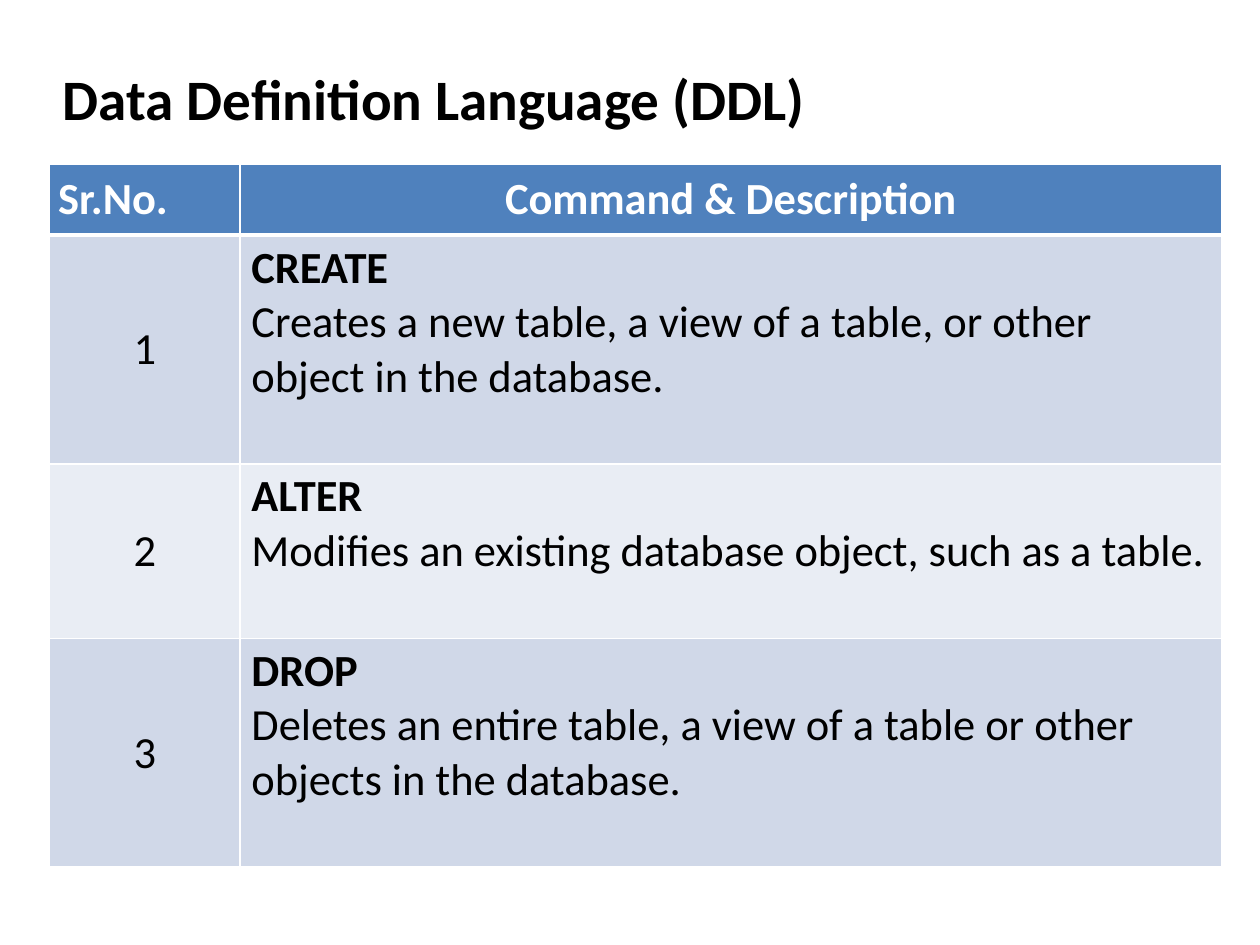
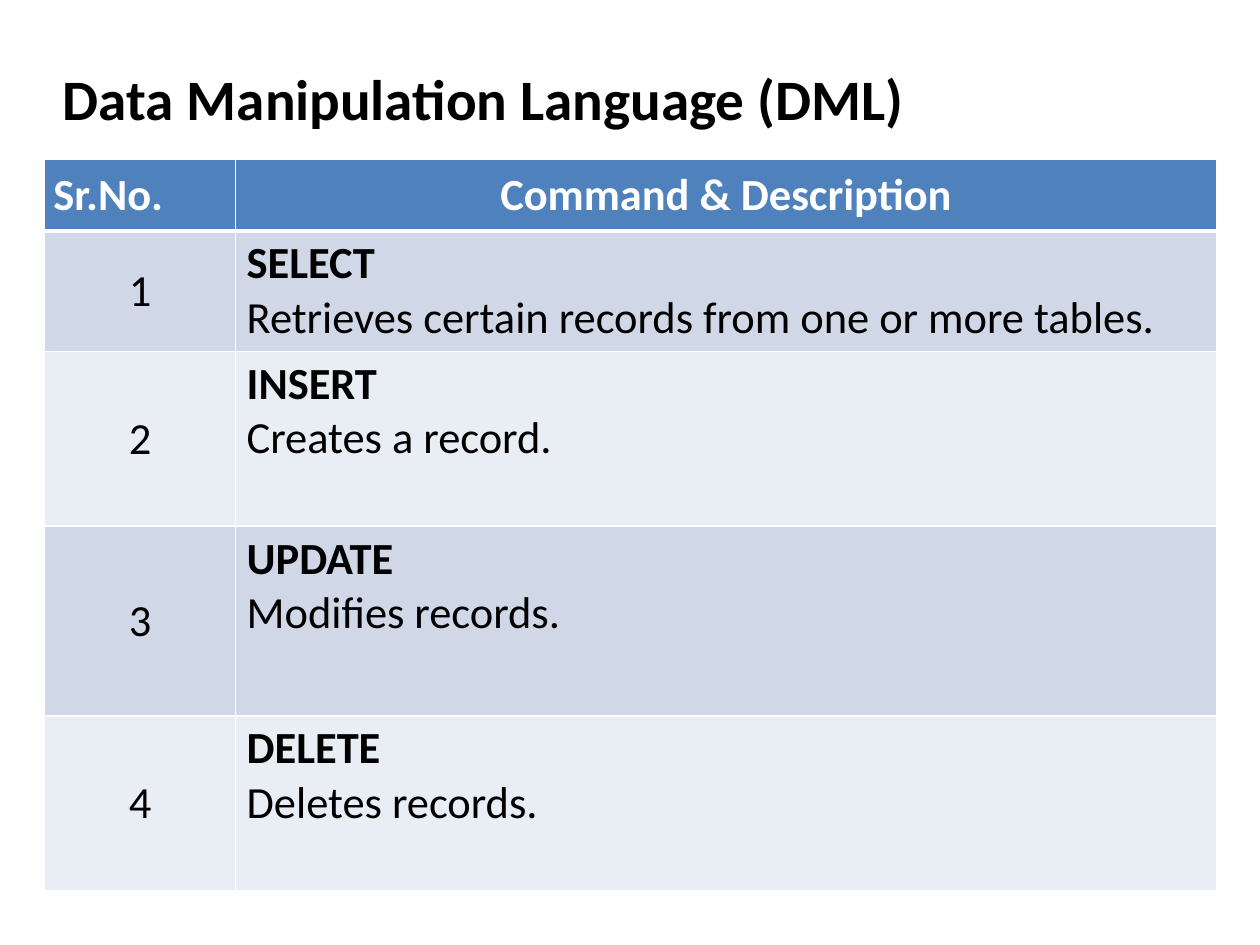
from lxml import etree
from pptx import Presentation
from pptx.dml.color import RGBColor
from pptx.enum import text
from pptx.oxml.ns import qn
from pptx.util import Pt

FONT = "Calibri"
BLACK = RGBColor(0x00, 0x00, 0x00)
WHITE = RGBColor(0xFF, 0xFF, 0xFF)
HEADER_BLUE = RGBColor(0x4F, 0x81, 0xBD)
BANDS = (RGBColor(0xD0, 0xD8, 0xE8), RGBColor(0xE9, 0xED, 0xF4))

COLUMN_WIDTHS = (120, 618)
HEADER_HEIGHT = 45
CELL_INSET = 5.4
THIN, THICK = 1, 3
HEADINGS = ("Sr.No.", "Command & Description")

# Each command: name, description, row height
DDL = (
    ("CREATE", "Creates a new table, a view of a table, or other object in the database.", 144),
    ("ALTER", "Modifies an existing database object, such as a table.", 110),
    ("DROP", "Deletes an entire table, a view of a table or other objects in the database.", 144),
)
DML = (
    ("SELECT", "Retrieves certain records from one or more tables.", 76),
    ("INSERT", "Creates a record.", 110),
    ("UPDATE", "Modifies records.", 119.5),
    ("DELETE", "Deletes records.", 110),
)


def style(p, size, color=BLACK, bold=False, align=text.PP_ALIGN.LEFT):
    p.alignment = align
    for r in p.runs:
        r.font.name = FONT
        r.font.size = Pt(size)
        r.font.bold = bold
        r.font.color.rgb = color


def add_title(s, title):
    tf = s.shapes.add_textbox(Pt(39.6), Pt(23.8), Pt(714.2), Pt(75.6)).text_frame
    tf.word_wrap = True
    tf.vertical_anchor = text.MSO_ANCHOR.MIDDLE
    tf.margin_left = tf.margin_top = tf.margin_right = tf.margin_bottom = 0
    tf.text = title
    style(tf.paragraphs[0], 36, bold=True)


def paint_cell(cell, fill, top=THIN, bottom=THIN):
    """Give the cell white borders, then its fill (the order the XML needs)."""
    tc_pr = cell._tc.get_or_add_tcPr()
    for side, width in (("L", THIN), ("R", THIN), ("T", top), ("B", bottom)):
        ln = etree.SubElement(tc_pr, qn("a:ln" + side), w=str(Pt(width)))
        solid = etree.SubElement(ln, qn("a:solidFill"))
        etree.SubElement(solid, qn("a:srgbClr"), val=str(WHITE))
    cell.fill.solid()
    cell.fill.fore_color.rgb = fill


def fill_cell(cell, lines, color=BLACK, bold_first=True, align=text.PP_ALIGN.LEFT):
    tf = cell.text_frame
    tf.text = "\n".join(lines)
    for i, p in enumerate(tf.paragraphs):
        style(p, 28, color, bold_first and i == 0, align)


def set_insets(cell):
    cell.margin_left = cell.margin_right = Pt(CELL_INSET)
    cell.margin_top = cell.margin_bottom = Pt(CELL_INSET)


def add_command_table(s, left, top, commands):
    heights = [HEADER_HEIGHT] + [height for _, _, height in commands]
    table = s.shapes.add_table(len(heights), len(COLUMN_WIDTHS), Pt(left), Pt(top),
                               Pt(sum(COLUMN_WIDTHS)), Pt(sum(heights))).table
    table.horz_banding = False
    for column, width in zip(table.columns, COLUMN_WIDTHS):
        column.width = Pt(width)
    for row, height in zip(table.rows, heights):
        row.height = Pt(height)

    aligns = (text.PP_ALIGN.LEFT, text.PP_ALIGN.CENTER)
    for cell, heading, align in zip(table.rows[0].cells, HEADINGS, aligns):
        set_insets(cell)
        paint_cell(cell, HEADER_BLUE, bottom=THICK)
        fill_cell(cell, [heading], WHITE, align=align)

    for n, (name, description, _) in enumerate(commands, 1):
        number, command = table.rows[n].cells
        for cell in (number, command):
            paint_cell(cell, BANDS[(n - 1) % 2], top=THICK if n == 1 else THIN)
        set_insets(number)
        number.vertical_anchor = text.MSO_ANCHOR.MIDDLE
        fill_cell(number, [str(n)], bold_first=False, align=text.PP_ALIGN.CENTER)
        fill_cell(command, [name, description])


def add_command_slide(prs, title, left, top, commands):
    s = prs.slides.add_slide(prs.slide_layouts[6])
    add_title(s, title)
    add_command_table(s, left, top, commands)


def main():
    prs = Presentation()
    prs.slide_width, prs.slide_height = Pt(793.6), Pt(595.3)
    add_command_slide(prs, "Data Definition Language (DDL)", 31.2, 103.3, DDL)
    add_command_slide(prs, "Data Manipulation Language (DML)", 28.2, 100.5, DML)
    prs.save("out.pptx")


if __name__ == "__main__":
    main()
